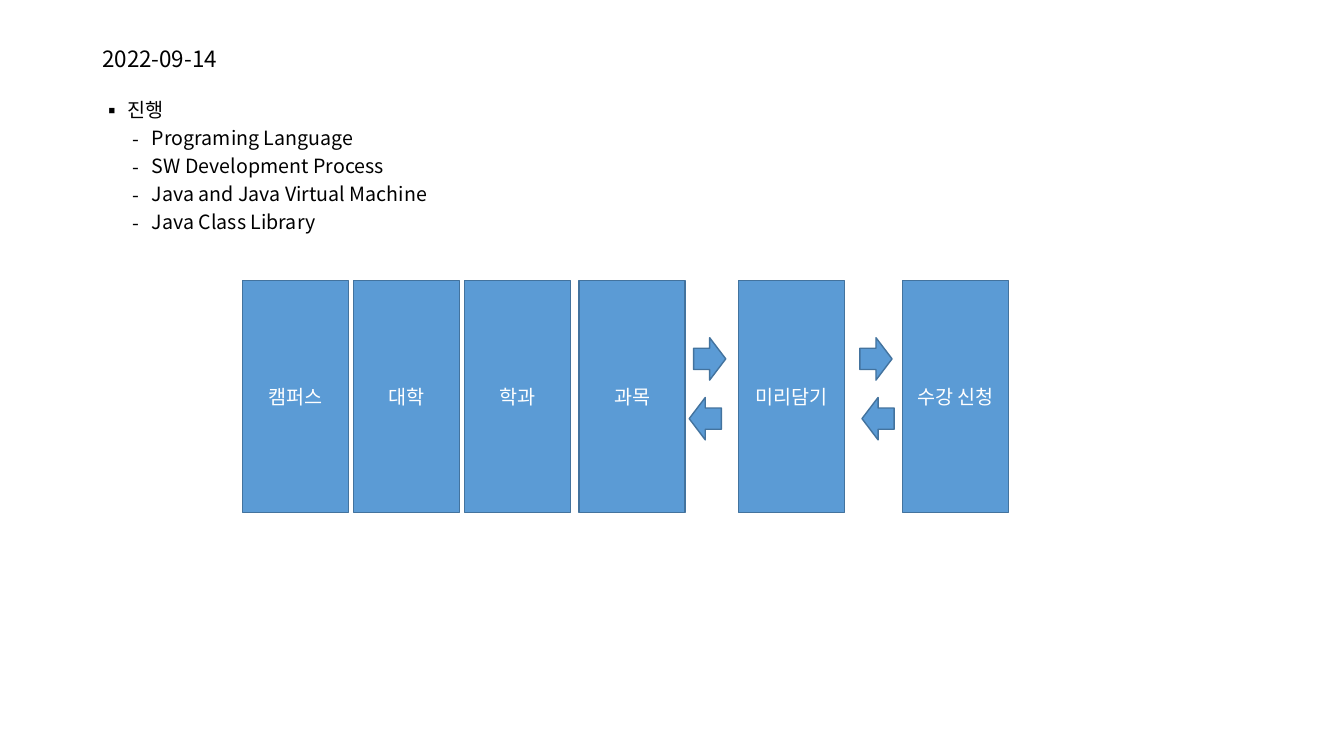
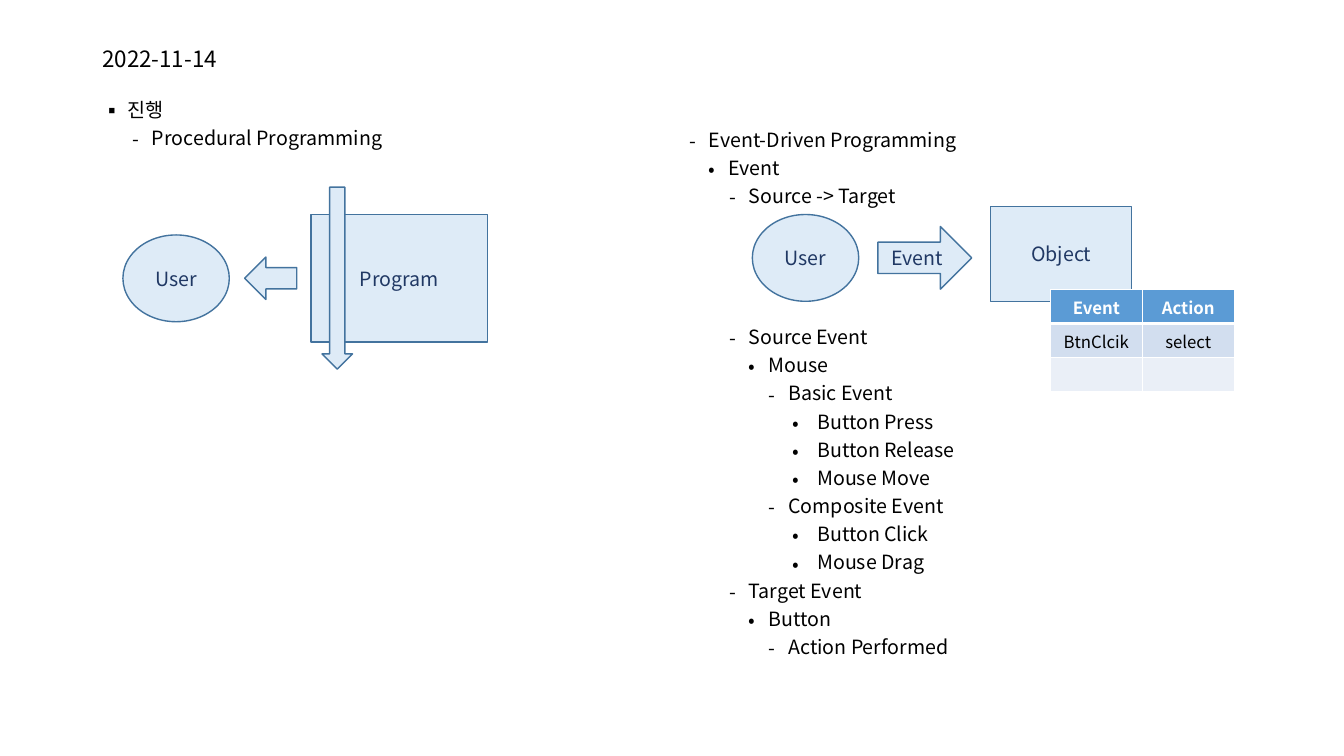
from dataclasses import dataclass

from lxml import etree
from pptx import Presentation
from pptx.dml.color import RGBColor
from pptx.enum.shapes import MSO_SHAPE
from pptx.enum.text import MSO_ANCHOR, PP_ALIGN
from pptx.oxml.ns import qn
from pptx.util import Pt

RECT = MSO_SHAPE.RECTANGLE
OVAL = MSO_SHAPE.OVAL
RIGHT = MSO_SHAPE.RIGHT_ARROW
LEFT = MSO_SHAPE.LEFT_ARROW
DOWN = MSO_SHAPE.DOWN_ARROW
CENTER = PP_ALIGN.CENTER
MIDDLE = MSO_ANCHOR.MIDDLE

FONT = "Noto Sans CJK KR"
BLACK = "000000"
WHITE = "FFFFFF"
BLUE = "5B9BD5"
PALE = "DEEBF7"
NAVY = "203864"
OUTLINE = "43739E"
BAND_FILLS = (BLUE, "D2DEEF", "EAEFF7")
LINE_SPACING = 0.9
ITEM_GAP = 5


@dataclass(frozen=True)
class Level:
    indent: float
    hang: float
    bullet: str


@dataclass(frozen=True)
class Item:
    level: int
    text: str
    gap: float = ITEM_GAP


@dataclass(frozen=True)
class Box:
    kind: MSO_SHAPE
    left: float
    top: float
    width: float
    height: float
    text: str = ""


LEVELS = (
    Level(18, 18, "▪"),
    Level(35.5, 14, "-"),
    Level(49.5, 14, "•"),
    Level(64, 14, "-"),
    Level(78, 14, "•"),
    Level(92.3, 14, "-"),
    Level(113, 18, "•"),
)

LANGUAGE_ITEMS = (
    Item(0, "진행"),
    Item(1, "Programing Language"),
    Item(1, "SW Development Process"),
    Item(1, "Java and Java Virtual Machine"),
    Item(1, "Java Class Library"),
)
PROCEDURAL_ITEMS = (Item(0, "진행"), Item(1, "Procedural Programming"))
EVENT_ITEMS = (
    Item(1, "Event-Driven Programming"),
    Item(2, "Event"),
    Item(3, "Source -> Target"),
    Item(3, "Source Event", 85.4),
    Item(4, "Mouse"),
    Item(5, "Basic Event"),
    Item(6, "Button Press"),
    Item(6, "Button Release"),
    Item(6, "Mouse Move"),
    Item(5, "Composite Event"),
    Item(6, "Button Click"),
    Item(6, "Mouse Drag"),
    Item(3, "Target Event"),
    Item(4, "Button"),
    Item(5, "Action Performed"),
)

STEPS = (
    ("캠퍼스", 173.3),
    ("대학", 252.6),
    ("학과", 331.9),
    ("과목", 413.7),
    ("미리담기", 527.6),
    ("수강 신청", 644.8),
)
STEP_BOXES = tuple(Box(RECT, x, 200.4, 75.6, 165.6, name) for name, x in STEPS)
STEP_ARROWS = tuple(
    Box(kind, x, y, 23, 30.3)
    for kind, y, lefts in ((RIGHT, 241.2, (495.4, 614.2)), (LEFT, 283.9, (492.3, 615.7)))
    for x in lefts
)
PROGRAM_BOXES = (
    Box(RECT, 222.2, 153.2, 126.2, 91, "Program"),
    Box(OVAL, 87.8, 167.8, 76, 62, "User"),
    Box(DOWN, 230, 133.7, 21.8, 130),
    Box(LEFT, 174.8, 183.6, 37.2, 30.3),
    Box(RECT, 707.6, 147.6, 100.8, 67.7, "Object"),
    Box(OVAL, 537.4, 153.2, 76, 62, "User"),
    Box(RIGHT, 627.1, 161.8, 67, 44.8, "Event"),
)
EVENT_TABLE = (("Event", "Action"), ("BtnClcik", "select"), ("", ""))


def rgb(color: str) -> RGBColor:
    return RGBColor.from_string(color)


def write(p, text: str, *, size: float = 14, color: str = BLACK,
          bold: bool = False, align=None) -> None:
    p.alignment = align
    r = p.add_run()
    r.text = text
    r.font.size = Pt(size)
    r.font.bold = bold
    r.font.color.rgb = rgb(color)
    r.font.name = FONT
    etree.SubElement(r.font._element, qn("a:ea"), typeface=FONT)


def add_text_box(s, left: float, top: float, width: float, height: float):
    tf = s.shapes.add_textbox(Pt(left), Pt(top), Pt(width), Pt(height)).text_frame
    tf.word_wrap = True
    return tf


def add_title(s, text: str) -> None:
    tf = add_text_box(s, 66, 28.8, 828, 28)
    tf.vertical_anchor = MIDDLE
    p = tf.paragraphs[0]
    p.line_spacing = LINE_SPACING
    write(p, text, size=16)


def add_outline(s, items: tuple[Item, ...], left: float, top: float,
                width: float, height: float) -> None:
    tf = add_text_box(s, left, top, width, height)
    for i, item in enumerate(items):
        p = tf.add_paragraph() if i else tf.paragraphs[0]
        level = LEVELS[item.level]
        p.level = item.level
        pPr = p._p.get_or_add_pPr()
        pPr.set("marL", str(Pt(level.indent)))
        pPr.set("indent", str(-Pt(level.hang)))
        etree.SubElement(pPr, qn("a:buFont"), typeface=FONT)
        etree.SubElement(pPr, qn("a:buChar"), char=level.bullet)
        p.line_spacing = LINE_SPACING
        p.space_before = Pt(item.gap if i else 0)
        write(p, item.text)


def add_box(s, box: Box, *, fill: str, color: str) -> None:
    sp = s.shapes.add_shape(box.kind, Pt(box.left), Pt(box.top),
                            Pt(box.width), Pt(box.height))
    sp.shadow.inherit = False
    sp.fill.solid()
    sp.fill.fore_color.rgb = rgb(fill)
    sp.line.color.rgb = rgb(OUTLINE)
    sp.line.width = Pt(1)
    if box.text:
        tf = sp.text_frame
        tf.vertical_anchor = MIDDLE
        write(tf.paragraphs[0], box.text, color=color, align=CENTER)


def add_border(cell, side: str, width: float) -> None:
    ln = etree.SubElement(cell._tc.get_or_add_tcPr(), qn(f"a:{side}"), w=str(Pt(width)))
    fill = etree.SubElement(ln, qn("a:solidFill"))
    etree.SubElement(fill, qn("a:srgbClr"), val=WHITE)


def add_event_table(s, left: float, top: float, col_width: float, row_height: float) -> None:
    rows, cols = len(EVENT_TABLE), len(EVENT_TABLE[0])
    table = s.shapes.add_table(rows, cols, Pt(left), Pt(top),
                               Pt(col_width * cols), Pt(row_height * rows)).table
    for i, values in enumerate(EVENT_TABLE):
        for j, text in enumerate(values):
            cell = table.cell(i, j)
            cell.vertical_anchor = MIDDLE
            for side in ("lnL", "lnR", "lnT", "lnB"):
                heavy = (i, side) in ((0, "lnB"), (1, "lnT"))
                add_border(cell, side, 3 if heavy else 1)
            cell.fill.solid()
            cell.fill.fore_color.rgb = rgb(BAND_FILLS[i])
            p = cell.text_frame.paragraphs[0]
            if text:
                write(p, text, size=12, color=BLACK if i else WHITE,
                      bold=i == 0, align=CENTER)
            else:
                end = etree.SubElement(p._p, qn("a:endParaRPr"), sz="1200")
                for tag in ("a:latin", "a:ea"):
                    etree.SubElement(end, qn(tag), typeface=FONT)


def add_slide(prs, title: str, items: tuple[Item, ...]):
    s = prs.slides.add_slide(prs.slide_layouts[6])
    add_title(s, title)
    add_outline(s, items, 66, 68, 386, 418)
    return s


def main() -> None:
    prs = Presentation()
    prs.slide_width, prs.slide_height = Pt(960), Pt(540)

    s = add_slide(prs, "2022-09-14", LANGUAGE_ITEMS)
    for box in STEP_BOXES + STEP_ARROWS:
        add_box(s, box, fill=BLUE, color=WHITE)

    s = add_slide(prs, "2022-11-14", PROCEDURAL_ITEMS)
    add_outline(s, EVENT_ITEMS, 463.7, 89.7, 437.8, 400)
    for box in PROGRAM_BOXES:
        add_box(s, box, fill=PALE, color=NAVY)
    add_event_table(s, 750.4, 206.8, 65.6, 24.3)

    prs.save("out.pptx")


if __name__ == "__main__":
    main()
